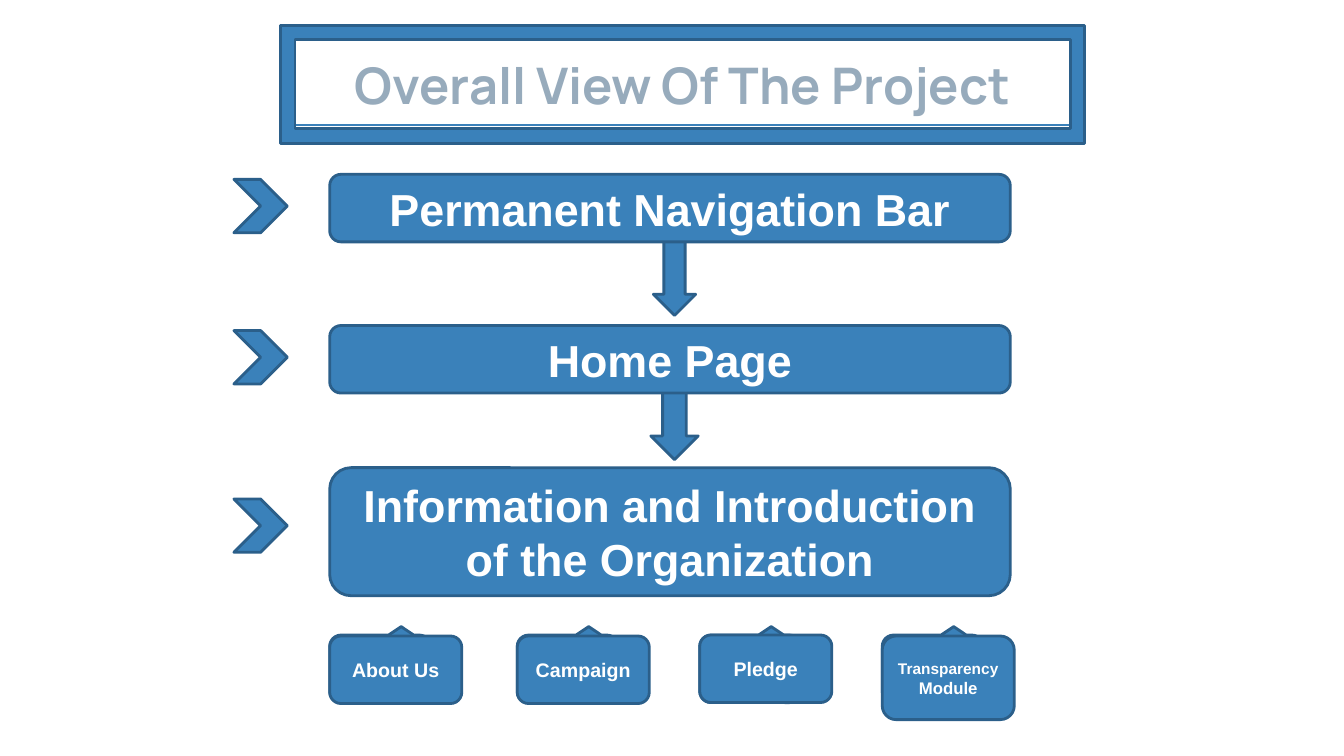
from pptx import Presentation
from pptx import util as u
from pptx.dml.color import RGBColor
from pptx.enum import shapes, text

BLUE = RGBColor(0x3A, 0x81, 0xBA)
NAVY = RGBColor(0x2B, 0x5F, 0x8A)
WHITE = RGBColor(0xFF, 0xFF, 0xFF)
GRAY_BLUE = RGBColor(0x97, 0xAB, 0xBC)
KIND = shapes.MSO_SHAPE


class Flowchart:
    body_font = "Arial"
    title_font = "Manrope"
    line_width = u.Pt(2)

    def __init__(self, slide):
        self.slide = slide

    def block(self, kind, left, top, width, height):
        shape = self.slide.shapes.add_shape(
            kind, u.Inches(left), u.Inches(top), u.Inches(width), u.Inches(height))
        shape.shadow.inherit = False
        shape.fill.solid()
        shape.fill.fore_color.rgb = BLUE
        shape.line.color.rgb = NAVY
        shape.line.width = self.line_width
        return shape

    def label(self, shape, pieces, font_name, color, anchor):
        frame = shape.text_frame
        frame.word_wrap = True
        frame.vertical_anchor = anchor
        paragraph = frame.paragraphs[0]
        paragraph.alignment = text.PP_ALIGN.CENTER
        for words, size in pieces:
            run = paragraph.add_run()
            run.text = words
            run.font.name = font_name
            run.font.size = u.Pt(size)
            run.font.bold = True
            run.font.color.rgb = color

    def box(self, pieces, left, top, width, height):
        shape = self.block(KIND.ROUNDED_RECTANGLE, left, top, width, height)
        self.label(shape, pieces, self.body_font, WHITE, text.MSO_ANCHOR.MIDDLE)

    def arrow(self, center, top, width):
        self.block(KIND.DOWN_ARROW, center - width / 2, top, width, 0.74)

    def callout(self, left, top):
        shape = self.block(KIND.ROUNDED_RECTANGULAR_CALLOUT, left, top, 1, 0.67)
        shape.rotation = 180

    def title(self, words, left, top, width, height):
        shape = self.slide.shapes.add_textbox(
            u.Inches(left), u.Inches(top), u.Inches(width), u.Inches(height))
        shape.line.color.rgb = BLUE
        shape.line.width = self.line_width
        frame = shape.text_frame
        frame.margin_left = frame.margin_right = u.Inches(0.1)
        frame.margin_top = frame.margin_bottom = u.Inches(0.1)
        self.label(shape, [(words, 36)], self.title_font, GRAY_BLUE,
                   text.MSO_ANCHOR.BOTTOM)


def main():
    presentation = Presentation()
    presentation.slide_width = u.Inches(13.33)
    presentation.slide_height = u.Inches(7.5)
    slide = presentation.slides.add_slide(presentation.slide_layouts[6])
    chart = Flowchart(slide)

    chart.arrow(6.69, 2.39, 0.42)
    chart.arrow(6.69, 3.82, 0.47)

    steps = [
        ("Permanent Navigation Bar", 1.73, 0.67, 1.78),
        ("Home Page", 3.23, 0.67, 3.28),
        ("Information and Introduction of the Organization", 4.64, 1.27, 4.95),
    ]
    for words, top, height, chevron_top in steps:
        chart.box([(words, 32)], 3.27, top, 6.75, height)
        chart.block(KIND.CHEVRON, 2.32, chevron_top, 0.53, 0.53)

    pages = [
        ([("About Us", 14)], 3.27, 6.31, 0.67),
        ([("Campaign", 14)], 5.13, 6.31, 0.67),
        ([("Pledge", 14)], 6.94, 6.3, 0.67),
        ([("Transparency", 11), (" Module", 12)], 8.75, 6.31, 0.83),
    ]
    for pieces, left, top, height in pages:
        chart.callout(left, 6.3)
        chart.box(pieces, left, top, 1.31, height)

    chart.title("Overall View Of The Project", 2.78, 0.36, 7.98, 0.88)
    chart.block(KIND.FRAME, 2.78, 0.25, 7.98, 1.17)

    presentation.save("out.pptx")


if __name__ == "__main__":
    main()
